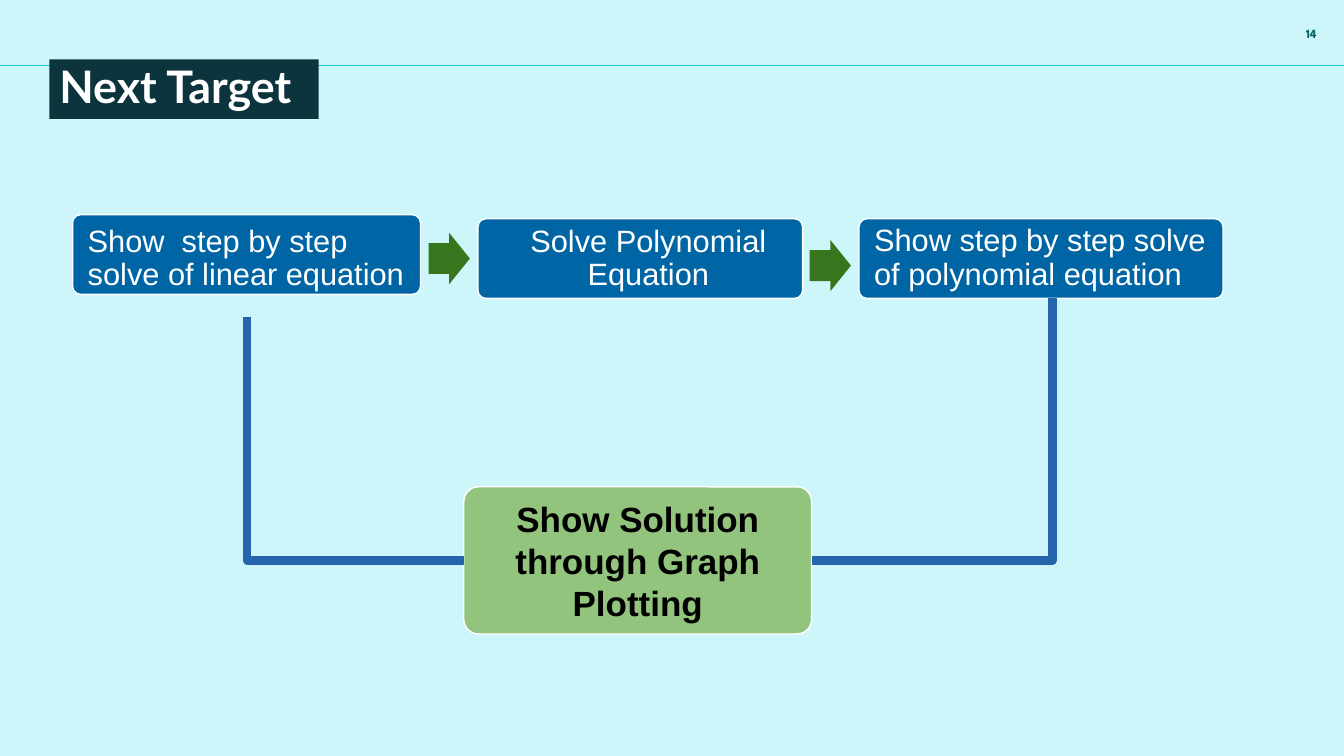
from dataclasses import dataclass

from lxml import etree
from pptx import Presentation
from pptx import util as u
from pptx.dml.color import RGBColor
from pptx.enum import shapes, text
from pptx.oxml.ns import qn

SHAPE, ALIGN = shapes.MSO_SHAPE, text.PP_ALIGN


@dataclass(frozen=True)
class Theme:
    background: str = "CCF6FA"
    rule: str = "17CBD8"
    number: str = "0B656C"
    title_fill: str = "0C343D"
    step_fill: str = "0065A4"
    arrow_fill: str = "38761D"
    goal_fill: str = "93C47D"
    link: str = "2364AA"
    light: str = "FFFFFF"
    dark: str = "000000"
    number_size: float = 9
    title_size: float = 32
    step_size: float = 22
    goal_size: float = 25
    body_font: str = "Arial"
    title_font: str = "Lato"
    number_font: str = "League Spartan"


T = Theme()


def rgb(value):
    return RGBColor.from_string(value)


def inches(box):
    return [u.Inches(n) for n in box]


def write(sp, words, color, size, font, bold=False, align=ALIGN.LEFT,
          anchor=text.MSO_ANCHOR.MIDDLE, inset=(0.1, 0.1), spacing=None):
    """Fill a shape with one paragraph; inset is (sides, top and bottom)."""
    tf = sp.text_frame
    side, edge = inches(inset)
    frame = dict(word_wrap=True, vertical_anchor=anchor, margin_left=side,
                 margin_right=side, margin_top=edge, margin_bottom=edge)
    p = tf.paragraphs[0]
    r = p.add_run()
    r.text = words
    r.font.color.rgb = rgb(color)
    for target, values in (
            (tf, frame),
            (p, dict(alignment=align, line_spacing=spacing)),
            (r.font, dict(name=font, size=u.Pt(size), bold=bold))):
        for name, value in values.items():
            setattr(target, name, value)


def add_block(s, kind, box, fill, adjust=(), outlined=False):
    sp = s.shapes.add_shape(kind, *inches(box))
    sp.shadow.inherit = False
    sp.fill.solid()
    sp.fill.fore_color.rgb = rgb(fill)
    for i, value in enumerate(adjust):
        sp.adjustments[i] = value
    if outlined:
        sp.line.color.rgb = rgb(T.light)
        sp.line.width = u.Pt(1)
    else:
        sp.line.fill.background()
    return sp


def add_line(s, kind, start, end, color, width):
    line = s.shapes.add_connector(kind, *inches(start + end))
    line.line.color.rgb = rgb(color)
    line.line.width = u.Pt(width)
    etree.SubElement(line._element.spPr, qn("a:effectLst"))
    return line


def add_header(s, box):
    left, top, width, _ = box
    rule_y = top + 0.65
    add_line(s, shapes.MSO_CONNECTOR.STRAIGHT, (left, rule_y),
             (left + width, rule_y), T.rule, 0.75)
    number = s.shapes.add_textbox(
        *inches((left + width - 0.55, top + 0.21, 0.45, 0.27)))
    write(number, "14", T.number, T.number_size, T.number_font, True,
          ALIGN.CENTER, text.MSO_ANCHOR.TOP, (0.1, 0.05))
    title = add_block(s, SHAPE.RECTANGLE,
                      (left + 0.49, top + 0.59, 2.67, 0.59), T.title_fill)
    write(title, "Next Target", T.light, T.title_size, T.title_font, True,
          anchor=text.MSO_ANCHOR.TOP, inset=(0.1, 0.05), spacing=0.9)


def add_step(s, box, label_box, words, align):
    add_block(s, SHAPE.ROUNDED_RECTANGLE, box, T.step_fill, (0.1,), True)
    label = s.shapes.add_textbox(*inches(label_box))
    write(label, words, T.light, T.step_size, T.body_font, align=align,
          inset=(0.15, 0.15), spacing=0.9)


def add_steps(s, box):
    left, top, _, height = box
    steps = (
        ((0, 0, 3.45), (0, -0.14, 3.45, 1.16),
         "Show  step by step solve of linear equation", ALIGN.LEFT),
        ((4.02, 0.04, 3.22), (4.05, -0.14, 3.32, 1.16),
         "Solve Polynomial Equation", ALIGN.CENTER),
        ((7.8, 0.04, 3.61), (7.8, 0.04, 3.83, height),
         "Show step by step solve of polynomial equation", ALIGN.LEFT),
    )
    for (x, y, w), (lx, ly, lw, lh), words, align in steps:
        add_step(s, (left + x, top + y, w, height),
                 (left + lx, top + ly, lw, lh), words, align)
    for x, y in ((3.53, 0.18), (7.31, 0.25)):
        add_block(s, SHAPE.RIGHT_ARROW, (left + x, top + y, 0.41, 0.51),
                  T.arrow_fill, (0.6, 0.5))


def add_goal(s, box):
    goal = add_block(s, SHAPE.ROUNDED_RECTANGLE, box, T.goal_fill, (0.1,), True)
    write(goal, "Show Solution through Graph Plotting", T.dark, T.goal_size,
          T.body_font, True, ALIGN.CENTER)


def add_drop_link(s, start, end):
    """Run straight down from start, then sideways to end."""
    (x1, y1), (x2, y2) = start, end
    cx, cy = (x1 + x2) / 2, (y1 + y2) / 2
    half_drop, half_run = (y2 - y1) / 2, abs(x2 - x1) / 2
    # The one-bend preset goes across first, so it is laid out turned by 90°.
    turn = 1 if x2 < x1 else -1
    link = add_line(s, shapes.MSO_CONNECTOR.ELBOW,
                    (cx - turn * half_drop, cy - half_run),
                    (cx + turn * half_drop, cy + half_run), T.link, 6)
    spPr = link._element.spPr
    spPr.find(qn("a:prstGeom")).set("prst", "bentConnector2")
    spPr.find(qn("a:xfrm")).set("rot", str(turn % 4 * 90 * 60000))


def main():
    prs = Presentation()
    prs.slide_width, prs.slide_height = inches((13.33, 7.5))
    s = prs.slides.add_slide(prs.slide_layouts[6])
    s.background.fill.solid()
    s.background.fill.fore_color.rgb = rgb(T.background)

    goal = left, top, width, height = 4.6, 4.83, 3.45, 1.46
    middle = top + height / 2
    add_header(s, (0, 0, 13.33, 1.18))
    add_steps(s, (0.72, 2.13, 11.41, 0.79))
    add_goal(s, goal)
    add_drop_link(s, (2.45, 3.14), (left, middle))
    add_drop_link(s, (10.44, 2.96), (left + width, middle))
    prs.save("out.pptx")


if __name__ == "__main__":
    main()
